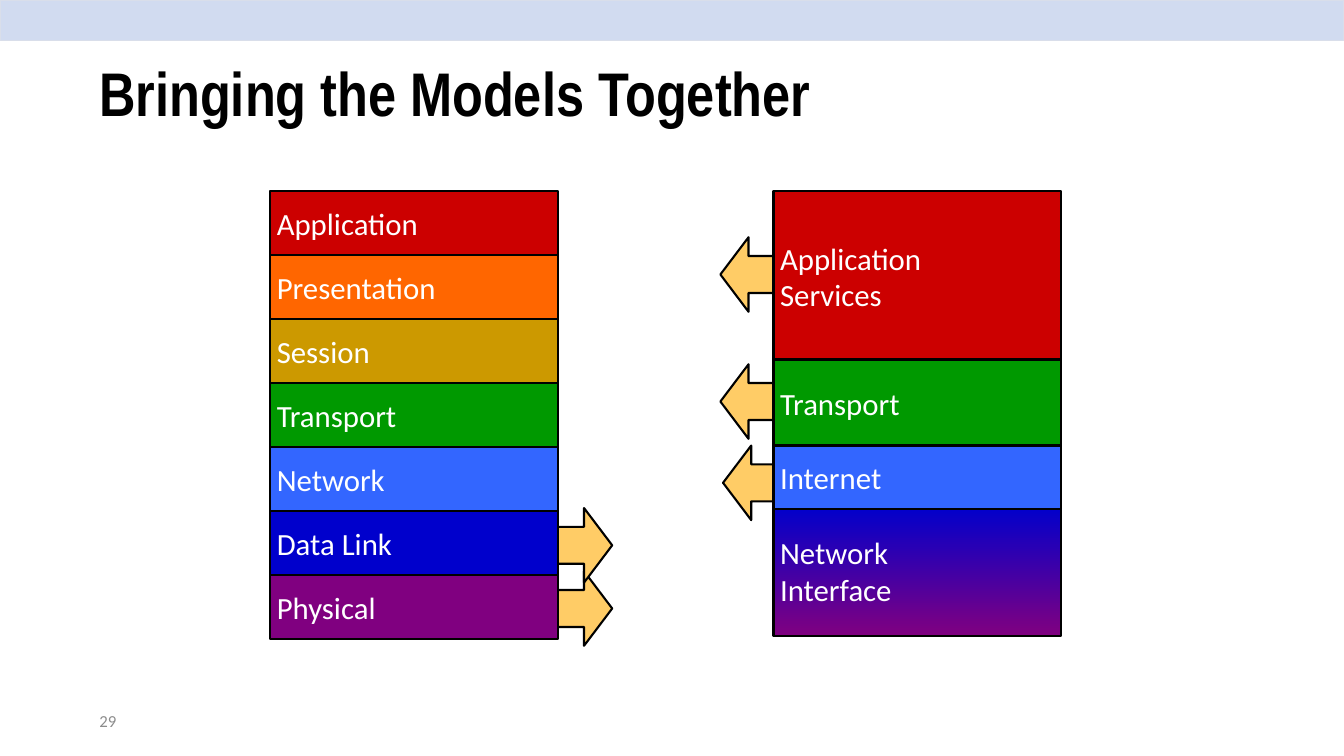
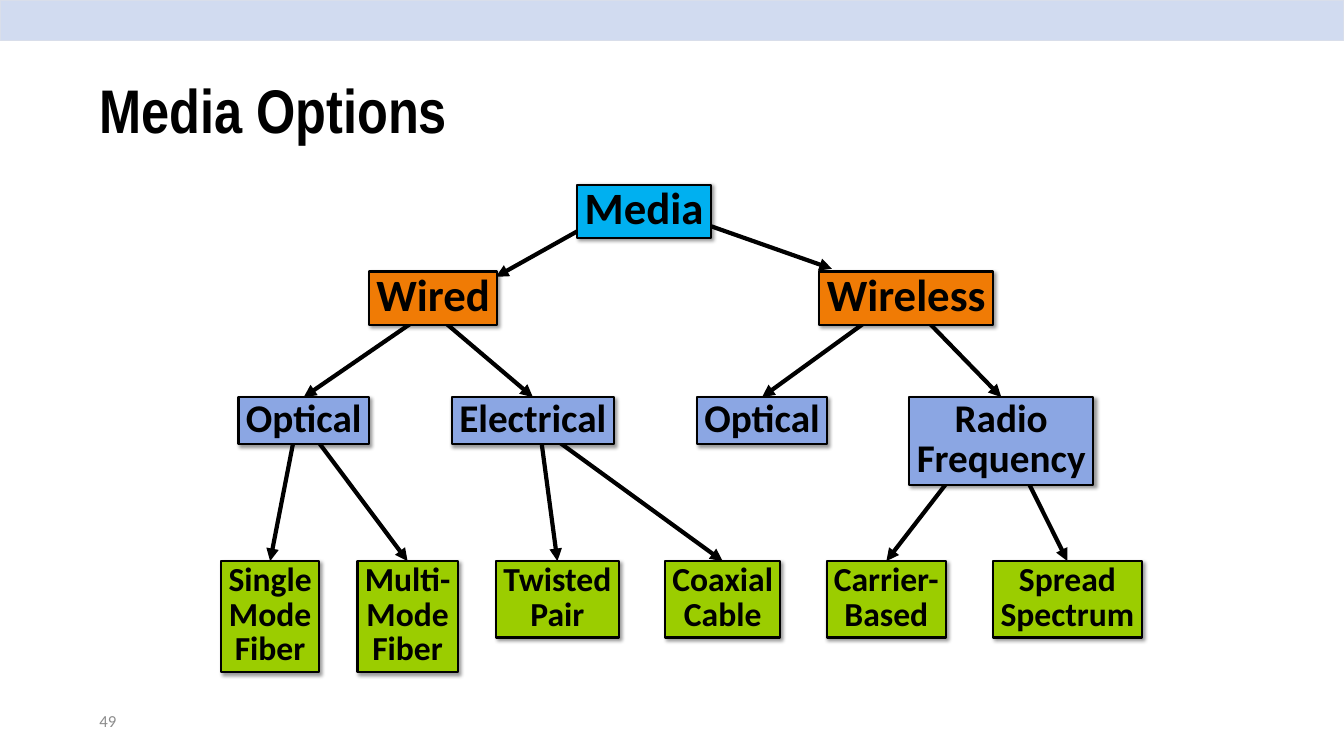
from dataclasses import dataclass
from typing import Optional

from lxml.etree import SubElement
from pptx import Presentation
from pptx.dml.color import RGBColor
from pptx.enum.shapes import MSO_CONNECTOR, MSO_SHAPE
from pptx.enum.text import MSO_ANCHOR, MSO_AUTO_SIZE, PP_ALIGN
from pptx.oxml.ns import qn
from pptx.shapes.autoshape import Shape
from pptx.slide import Slide
from pptx.util import Inches, Pt

SLIDE_WIDTH, SLIDE_HEIGHT = Inches(20), Inches(11.25)
COLUMNS, ROWS = 20, 11.25

BLACK = RGBColor(0x00, 0x00, 0x00)
WHITE = RGBColor(0xFF, 0xFF, 0xFF)
GRAY = RGBColor(0x8C, 0x8C, 0x8C)
BAND = RGBColor(0xD1, 0xDB, 0xF0)
BAND_EDGE = RGBColor(0xD9, 0xDE, 0xEA)
RED = RGBColor(0xCC, 0x00, 0x00)
ORANGE = RGBColor(0xFF, 0x66, 0x00)
GOLD = RGBColor(0xCC, 0x99, 0x00)
GREEN = RGBColor(0x00, 0x99, 0x00)
BLUE = RGBColor(0x33, 0x66, 0xFF)
NAVY = RGBColor(0x00, 0x00, 0xCC)
PURPLE = RGBColor(0x80, 0x00, 0x80)
ARROW = RGBColor(0xFF, 0xCC, 0x66)
SKY = RGBColor(0x00, 0xB0, 0xF0)
AMBER = RGBColor(0xF0, 0x7B, 0x05)
PERIWINKLE = RGBColor(0x8B, 0xA6, 0xE3)
LIME = RGBColor(0x9B, 0xCD, 0x00)

TITLE_FONT, BODY_FONT = "Arial Narrow", "Calibri"
OUTLINE = 2.25
TREE_SPACING = 0.85

Point = tuple[float, float]


@dataclass(frozen=True)
class Area:
    """A rectangle in grid columns and rows."""
    left: float
    top: float
    width: float
    height: float

    def lengths(self) -> tuple[int, int, int, int]:
        return (across(self.left), down(self.top),
                across(self.width), down(self.height))


@dataclass(frozen=True)
class Layer:
    text: str
    top: float
    height: float
    colours: tuple[RGBColor, ...]


@dataclass(frozen=True)
class Level:
    top: float
    size: int
    colour: RGBColor


@dataclass(frozen=True)
class Node:
    """A tree box; its arrow runs from start to end, or to its top middle."""
    text: str
    left: float
    width: float
    start: Optional[Point] = None
    end: Optional[Point] = None
    children: tuple["Node", ...] = ()


STACK_TOP, STACK_WIDTH, LAYER_HEIGHT = 2.84, 4.28, 0.95
OSI_LEFT, TCP_LEFT = 4.02, 11.51
LAYER_PITCH = (8.56 - STACK_TOP) / 6
OSI_LAYERS = [
    Layer(text, STACK_TOP + index * LAYER_PITCH, LAYER_HEIGHT, (colour,))
    for index, (text, colour) in enumerate([
        ("Application", RED), ("Presentation", ORANGE), ("Session", GOLD),
        ("Transport", GREEN), ("Network", BLUE), ("Data Link", NAVY),
        ("Physical", PURPLE)])
]
TCP_LAYERS = [
    Layer("Application\nServices", STACK_TOP, 2.54, (RED,)),
    Layer("Transport", 5.35, 1.3, (GREEN,)),
    Layer("Network\nInterface", 7.53, 1.93, (NAVY, PURPLE)),
    Layer("Internet", 6.63, LAYER_HEIGHT, (BLUE,)),
]
LEFT_ARROWS = [(10.76, 6.63), (10.72, 5.42), (10.72, 3.53)]
RIGHT_ARROWS = [(8.29, 8.5), (8.29, 7.56)]

LEVELS = [Level(2.75, 48, SKY), Level(4.04, 48, AMBER),
          Level(5.91, 42, PERIWINKLE), Level(8.35, 36, LIME)]
MEDIA = Node("Media", 8.59, 1.99, children=(
    Node("Wired", 5.49, 1.91, (9.38, 3), (7.38, 4.12), (
        Node("Optical", 3.55, 1.94, (6.41, 4.61), children=(
            Node("Single\nMode\nFiber", 3.29, 1.46, (4.38, 6.5)),
            Node("Multi-\nMode\nFiber", 5.32, 1.49, (4.59, 6.38)))),
        Node("Electrical", 6.72, 2.42, (6.41, 4.62), children=(
            Node("Twisted\nPair", 7.38, 1.83, (8.03, 6.37)),
            Node("Coaxial\nCable", 9.9, 1.71, (8.03, 6.37)))))),
    Node("Wireless", 12.19, 2.59, (10.25, 3.25), (12.38, 4), (
        Node("Optical", 10.37, 1.94, (13.45, 4.38)),
        Node("Radio\nFrequency", 13.53, 2.74, (13.45, 4.42), children=(
            Node("Carrier-\nBased", 12.3, 1.78, (14.83, 6.23)),
            Node("Spread\nSpectrum", 14.78, 2.21, (14.83, 6.23))))))))


def across(columns: float) -> int:
    return round(SLIDE_WIDTH * columns / COLUMNS)


def down(rows: float) -> int:
    return round(SLIDE_HEIGHT * rows / ROWS)


def write(shape: Shape, text: str, *, size: float, colour: RGBColor,
          font: str = BODY_FONT, bold: bool = False, wrap: bool = True,
          align: PP_ALIGN = PP_ALIGN.LEFT, spacing: Optional[float] = None,
          anchor: MSO_ANCHOR = MSO_ANCHOR.MIDDLE) -> None:
    frame = shape.text_frame
    frame.word_wrap = wrap
    frame.vertical_anchor = anchor
    para = frame.paragraphs[0]
    para.text = text
    para.alignment = align
    if spacing:
        para.line_spacing = spacing
    for span in para.runs:
        span.font.name = font
        span.font.size = Pt(size)
        span.font.bold = bold
        span.font.color.rgb = colour


def add_filled(page: Slide, kind: MSO_SHAPE, area: Area, *colours: RGBColor,
               edge: RGBColor = BLACK, weight: float = OUTLINE) -> Shape:
    """Add an outlined shape; two colours make a gradient from top to bottom."""
    shape = page.shapes.add_shape(kind, *area.lengths())
    shape.shadow.inherit = False
    if len(colours) == 1:
        shape.fill.solid()
        shape.fill.fore_color.rgb = colours[0]
    else:
        shape.fill.gradient()
        shape.fill.gradient_angle = 270
        for stop, colour in zip(shape.fill.gradient_stops, colours):
            stop.color.rgb = colour
    shape.line.color.rgb = edge
    shape.line.width = Pt(weight)
    return shape


def add_page(deck: Presentation, title: str, title_top: float,
             number: int) -> Slide:
    page = deck.slides.add_slide(deck.slide_layouts[6])
    add_filled(page, MSO_SHAPE.RECTANGLE, Area(0, 0, COLUMNS, 0.6), BAND,
               edge=BAND_EDGE, weight=1)
    heading = page.shapes.add_textbox(
        *Area(1.38, title_top, 17.25, 2.17).lengths())
    write(heading, title, size=66, colour=BLACK, font=TITLE_FONT, bold=True,
          spacing=0.9)
    footer = page.shapes.add_textbox(*Area(1.38, 10.43, 4.5, 0.6).lengths())
    write(footer, str(number), size=18, colour=GRAY)
    return page


def add_block_arrow(page: Slide, corner: Point, flipped: bool) -> None:
    arrow = add_filled(page, MSO_SHAPE.RIGHT_ARROW, Area(*corner, 0.82, 1.11),
                       ARROW)
    arrow.adjustments[0] = 0.496
    arrow.adjustments[1] = 0.511
    if flipped:
        arrow.element.spPr.find(qn("a:xfrm")).set("flipH", "1")


def add_stack(page: Slide, left: float, layers: list[Layer]) -> None:
    for layer in layers:
        area = Area(left, layer.top, STACK_WIDTH, layer.height)
        box = add_filled(page, MSO_SHAPE.RECTANGLE, area, *layer.colours)
        write(box, layer.text, size=33, colour=WHITE, wrap=False)


def cast_shadow(shape: Shape) -> None:
    effects = shape.element.spPr.find(qn("a:effectLst"))
    shadow = SubElement(effects, qn("a:outerShdw"), blurRad=str(Pt(4)),
                        dist=str(Pt(3)), dir="2700000", algn="tl",
                        rotWithShape="0")
    colour = SubElement(shadow, qn("a:srgbClr"), val=str(BLACK))
    SubElement(colour, qn("a:alpha"), val="40000")


def add_link(page: Slide, node: Node, parent: Shape, child: Shape) -> None:
    """Add the arrow to a child box, behind its parent box."""
    start_x, start_y = node.start
    end_x, end_y = node.end or node.start
    link = page.shapes.add_connector(
        MSO_CONNECTOR.STRAIGHT, across(start_x), down(start_y),
        across(end_x), down(end_y))
    if node.end is None:
        link.end_connect(child, 0)
    link.line.color.rgb = BLACK
    link.line.width = Pt(4.5)
    properties = link.element.spPr
    SubElement(properties.find(qn("a:ln")), qn("a:tailEnd"), type="triangle")
    SubElement(properties, qn("a:effectLst"))
    parent.element.addprevious(link.element)


def add_tree(page: Slide, node: Node, depth: int = 0) -> Shape:
    level = LEVELS[depth]
    line_height = level.size * 1.22 * TREE_SPACING / 72
    height = line_height * len(node.text.splitlines()) + 0.1
    box = add_filled(page, MSO_SHAPE.RECTANGLE,
                     Area(node.left, level.top, node.width, height),
                     level.colour)
    cast_shadow(box)
    write(box, node.text, size=level.size, colour=BLACK, bold=True, wrap=False,
          align=PP_ALIGN.CENTER, spacing=TREE_SPACING, anchor=MSO_ANCHOR.TOP)
    box.text_frame.auto_size = MSO_AUTO_SIZE.SHAPE_TO_FIT_TEXT
    for child in node.children:
        add_link(page, child, box, add_tree(page, child, depth + 1))
    return box


def main() -> None:
    deck = Presentation()
    deck.slide_width, deck.slide_height = SLIDE_WIDTH, SLIDE_HEIGHT

    models = add_page(deck, "Bringing the Models Together", 0.35, 29)
    for corner in LEFT_ARROWS:
        add_block_arrow(models, corner, flipped=True)
    for corner in RIGHT_ARROWS:
        add_block_arrow(models, corner, flipped=False)
    add_stack(models, OSI_LEFT, OSI_LAYERS)
    add_stack(models, TCP_LEFT, TCP_LAYERS)

    options = add_page(deck, "Media Options", 0.6, 49)
    add_tree(options, MEDIA)

    deck.save("out.pptx")


if __name__ == "__main__":
    main()
